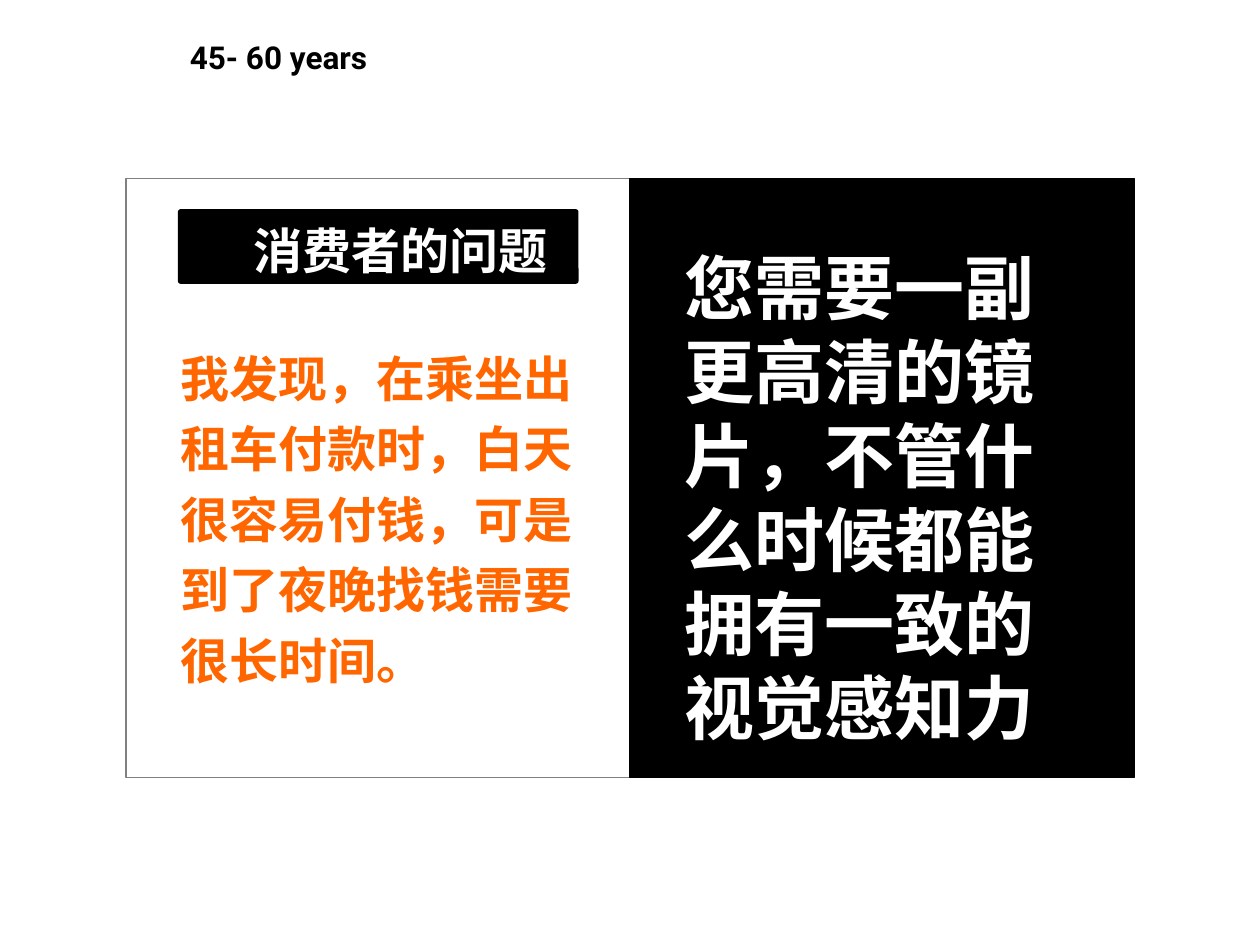
import pptx
import pptx.util
import pptx.dml.color
import pptx.enum.shapes
import pptx.enum.text
import pptx.oxml
from pptx.util import Cm

CJK_FONT = "Noto Sans CJK SC"
SHAPE = pptx.enum.shapes.MSO_SHAPE


def rgb(value):
    return pptx.dml.color.RGBColor.from_string(value)


def write(s, text, size=28, font="Arial", color="FFFFFF", leading=None, wrap=True, align="LEFT"):
    """Fill a shape with one bold paragraph; leading is in points."""
    tf = s.text_frame
    tf.word_wrap = wrap
    tf.auto_size = pptx.enum.text.MSO_AUTO_SIZE.NONE
    tf.vertical_anchor = pptx.enum.text.MSO_ANCHOR.TOP
    p = tf.paragraphs[0]
    p.alignment = getattr(pptx.enum.text.PP_ALIGN, align)
    if leading:
        p.line_spacing = pptx.util.Pt(leading)
    r = p.add_run()
    r.text = text
    r.font.name = font
    r.font.size = pptx.util.Pt(size)
    r.font.bold = True
    r.font.color.rgb = rgb(color)
    ea = pptx.oxml.parse_xml(
        '<a:ea xmlns:a="http://schemas.openxmlformats.org/drawingml/2006/main"'
        f' typeface="{CJK_FONT}"/>')
    r.font._element.find(pptx.oxml.ns.qn("a:latin")).addnext(ea)


prs = pptx.Presentation()
prs.slide_width, prs.slide_height = Cm(25.4), Cm(19.05)
slide = prs.slides.add_slide(prs.slide_layouts[5])
shapes = slide.shapes

# Age group
s = shapes.title
s.left, s.top, s.width, s.height = Cm(2.54), Cm(0.64), Cm(6.15), Cm(1.02)
write(s, "45- 60 years", size=18, font="Roboto", color="000000", align="CENTER")

# Frame, answer panel on its right half, and heading bar
panels = [
    (SHAPE.RECTANGLE, 2.54, 3.6, 20.32, 12.07, None, "808080"),
    (SHAPE.RECTANGLE, 12.7, 3.6, 10.16, 12.07, "000000", "000000"),
    (SHAPE.ROUNDED_RECTANGLE, 3.6, 4.23, 8.05, 1.48, "000000", "000000"),
]
for kind, left, top, width, height, fill, line in panels:
    s = shapes.add_shape(kind, Cm(left), Cm(top), Cm(width), Cm(height))
    s.shadow.inherit = False
    if fill:
        s.fill.solid()
        s.fill.fore_color.rgb = rgb(fill)
    else:
        s.fill.background()
    s.line.color.rgb = rgb(line)
    s.line.width = pptx.util.Pt(0.75)
    if kind == SHAPE.ROUNDED_RECTANGLE:
        s.adjustments[0] = 0.03

# Heading, problem and answer
texts = [
    (4.87, 4.33, 6.43, 1.44, "消费者的问题", dict(leading=33.6, wrap=False)),
    (3.39, 6.66, 9.31, 7.36,
     "我发现，在乘坐出租车付款时，白天很容易付钱，可是到了夜晚找钱需要很长时间。",
     dict(font=CJK_FONT, color="FF6600", leading=40.3)),
    (13.55, 4.8, 8.46, 10.41,
     "您需要一副更高清的镜片，不管什么时候都能拥有一致的视觉感知力",
     dict(size=40, leading=48)),
]
for left, top, width, height, text, style in texts:
    s = shapes.add_textbox(Cm(left), Cm(top), Cm(width), Cm(height))
    write(s, text, **style)

prs.save("out.pptx")
